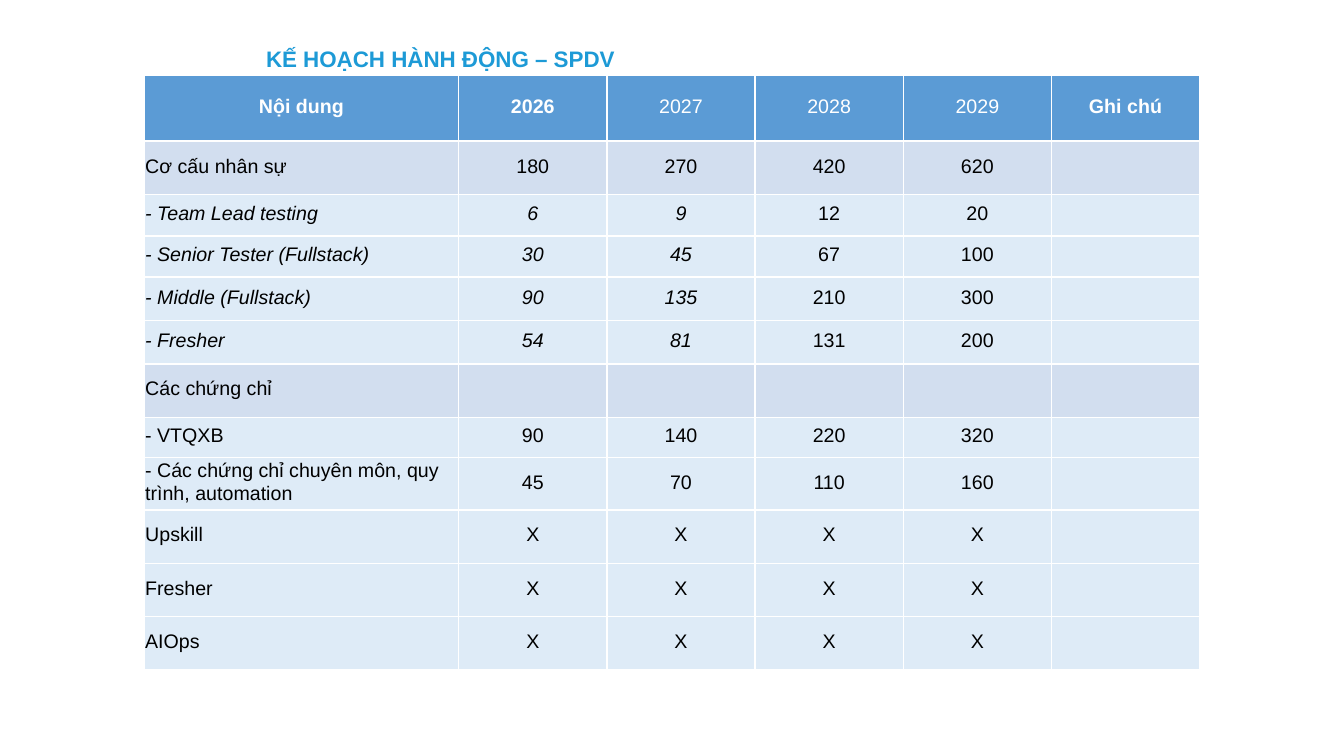
from lxml.etree import SubElement
from pptx import Presentation
from pptx.dml.color import RGBColor
from pptx.enum.text import MSO_ANCHOR as Anchor, PP_ALIGN as Align
from pptx.oxml.ns import qn
from pptx.util import Inches, Pt

WHITE = RGBColor(0xFF, 0xFF, 0xFF)
BLACK = RGBColor(0x00, 0x00, 0x00)
TITLE_BLUE = RGBColor(0x1D, 0x9A, 0xD6)
HEADER_BLUE = RGBColor(0x5B, 0x9B, 0xD5)
SECTION_BLUE = RGBColor(0xD2, 0xDE, 0xEF)
ROW_BLUE = RGBColor(0xDE, 0xEB, 0xF7)
FONT = "Arial"

COLUMN_WIDTHS = [3.12] + [1.47] * 5
ROW_HEIGHTS = [0.65, 0.53, 0.41, 0.41, 0.43, 0.43, 0.53, 0.4, 0.4, 0.53, 0.53, 0.53]
SECTION_ROWS = (1, 6)
STAFF_ROWS = range(2, 6)
BOLD_HEADERS = (0, 1, 5)
PLAN = [
    ["Nội dung", "2026", "2027", "2028", "2029", "Ghi chú"],
    ["Cơ cấu nhân sự", "180", "270", "420", "620", ""],
    ["- Team Lead testing", "6", "9", "12", "20", ""],
    ["- Senior Tester (Fullstack)", "30", "45", "67", "100", ""],
    ["- Middle (Fullstack)", "90", "135", "210", "300", ""],
    ["- Fresher", "54", "81", "131", "200", ""],
    ["Các chứng chỉ", "", "", "", "", ""],
    ["- VTQXB", "90", "140", "220", "320", ""],
    ["- Các chứng chỉ chuyên môn, quy trình, automation", "45", "70", "110", "160", ""],
    ["Upskill", "X", "X", "X", "X", ""],
    ["Fresher", "X", "X", "X", "X", ""],
    ["AIOps", "X", "X", "X", "X", ""],
]


def format_runs(paragraph, size, color, bold=False, italic=False):
    """Apply the slide font to every run of a paragraph."""
    for run in paragraph.runs:
        run.font.name = FONT
        run.font.size = Pt(size)
        run.font.bold = bold
        run.font.italic = italic
        run.font.color.rgb = color


def add_borders(cell):
    """Draw thin white lines on all four sides of a cell."""
    properties = cell._tc.get_or_add_tcPr()
    for side in ("a:lnL", "a:lnR", "a:lnT", "a:lnB"):
        line = SubElement(properties, qn(side), w=str(Pt(1.2)))
        fill = SubElement(line, qn("a:solidFill"))
        SubElement(fill, qn("a:srgbClr"), val=str(WHITE))


def fill_cell(cell, text, row, column):
    """Write one plan value and style its cell by row and column."""
    header = row == 0
    cell.vertical_anchor = Anchor.MIDDLE
    cell.margin_left = cell.margin_right = cell.margin_top = Inches(0.01)
    cell.margin_bottom = Inches(0.05)
    add_borders(cell)
    cell.fill.solid()
    cell.fill.fore_color.rgb = (
        HEADER_BLUE if header else SECTION_BLUE if row in SECTION_ROWS else ROW_BLUE
    )
    cell.text_frame.text = text
    paragraph = cell.text_frame.paragraphs[0]
    paragraph.alignment = Align.CENTER if header or column else Align.LEFT
    paragraph.line_spacing = Pt(16.5)
    format_runs(
        paragraph,
        14,
        WHITE if header else BLACK,
        bold=header and column in BOLD_HEADERS,
        italic=row in STAFF_ROWS and column < 3,
    )


def add_plan_table(slide, left, top, width, height):
    """Place the action plan table in the given box."""
    frame = slide.shapes.add_table(
        len(PLAN), len(COLUMN_WIDTHS),
        Inches(left), Inches(top), Inches(width), Inches(height),
    )
    table = frame.table
    table.horz_banding = False
    for column, column_width in zip(table.columns, COLUMN_WIDTHS):
        column.width = Inches(column_width)
    for row, row_height in zip(table.rows, ROW_HEIGHTS):
        row.height = Inches(row_height)
    for row, values in enumerate(PLAN):
        for column, text in enumerate(values):
            fill_cell(table.cell(row, column), text, row, column)


def add_title(slide, left, top, width, height):
    """Place the slide heading in the given box."""
    box = slide.shapes.add_textbox(
        Inches(left), Inches(top), Inches(width), Inches(height)
    )
    text_frame = box.text_frame
    text_frame.word_wrap = True
    text_frame.vertical_anchor = Anchor.MIDDLE
    text_frame.text = "KẾ HOẠCH HÀNH ĐỘNG – SPDV"
    format_runs(text_frame.paragraphs[0], 16, TITLE_BLUE, bold=True)


def main():
    """Build the action plan slide and save it."""
    presentation = Presentation()
    presentation.slide_width = Inches(13.33)
    presentation.slide_height = Inches(7.5)
    slide = presentation.slides.add_slide(presentation.slide_layouts[6])
    add_plan_table(slide, 1.43, 0.75, sum(COLUMN_WIDTHS), sum(ROW_HEIGHTS))
    add_title(slide, 2.54, 0.35, 10.12, 0.47)
    presentation.save("out.pptx")


if __name__ == "__main__":
    main()
